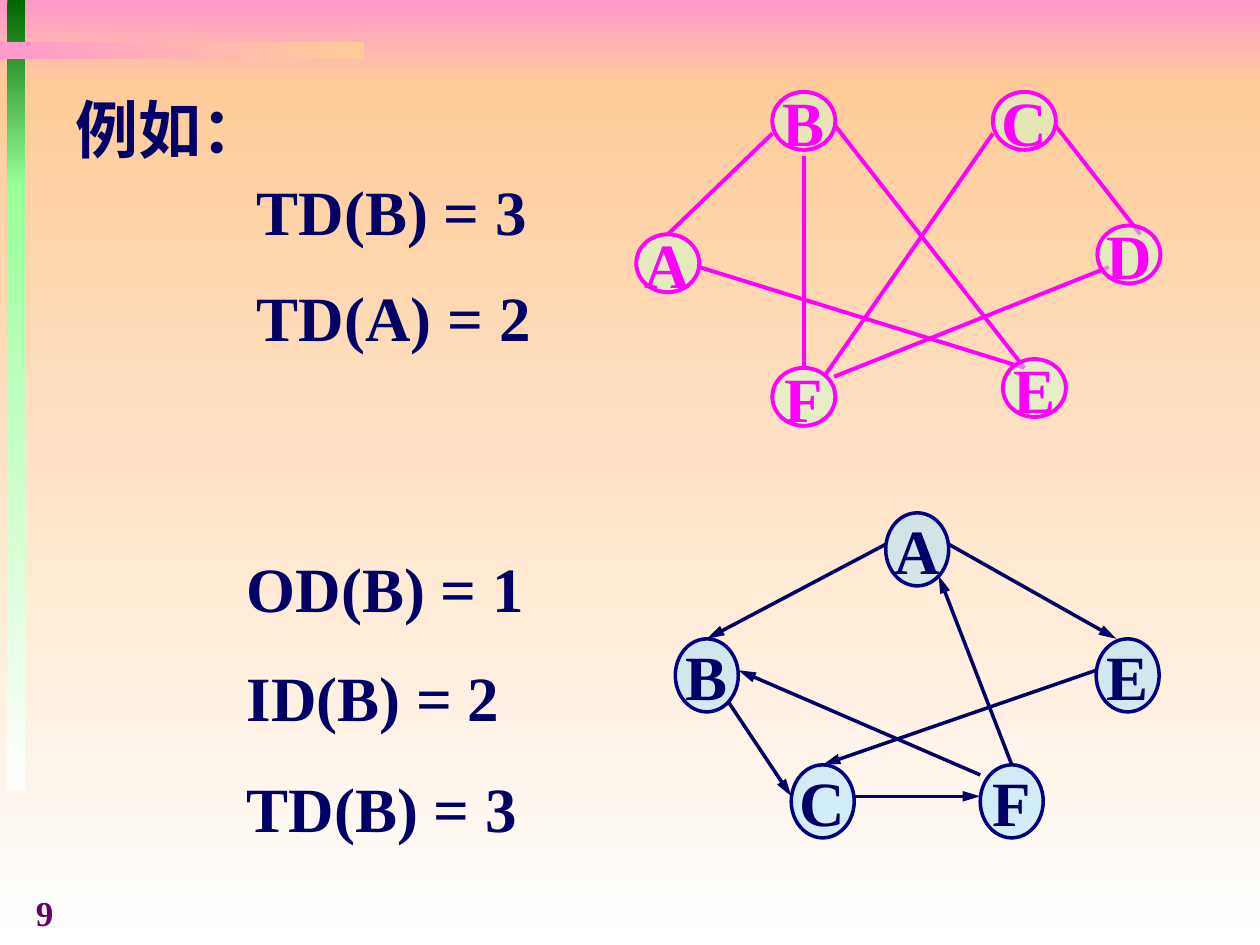
from dataclasses import dataclass

from lxml import etree
from pptx import Presentation
from pptx.dml.color import RGBColor
from pptx.enum import shapes, text
from pptx.oxml import ns
from pptx.util import Inches, Pt


@dataclass(frozen=True)
class Theme:
    ink: str = "000066"
    number: str = "660066"
    magenta: str = "FF00FF"
    navy: str = "000080"
    mint: str = "CCFFCC"
    sky: str = "A7E2FF"
    pink: str = "FF99CC"
    peach: str = "FFCC99"
    white: str = "FFFFFF"
    forest: str = "006600"
    lime: str = "99FF99"
    latin: str = "Times New Roman"
    chinese: str = "Noto Sans CJK SC"
    body_size: float = 36
    number_size: float = 20


@dataclass(frozen=True)
class Band:
    left: float
    top: float
    width: float
    height: float
    first: str
    last: str
    angle: float = 270


@dataclass(frozen=True)
class Node:
    label: str
    left: float
    top: float


@dataclass(frozen=True)
class Edge:
    start: tuple[float, float] | str
    end: tuple[float, float] | str


@dataclass(frozen=True)
class GraphStyle:
    node_height: float
    fill: str
    outline: str
    ink: str
    weight: float
    directed: bool


THEME = Theme()
NODE_WIDTH = 0.5

BANDS = [
    Band(0, 0, 10, 0.67, THEME.pink, THEME.peach),
    Band(0, 0.67, 10, 6.83, THEME.peach, THEME.white),
    Band(0.06, 0, 0.14, 1.48, THEME.forest, THEME.lime),
    Band(0.06, 1.46, 0.14, 4.81, THEME.lime, THEME.white),
    Band(0, 0.33, 2.89, 0.14, THEME.peach, THEME.pink, 180),
]

DIRECTED = GraphStyle(0.58, THEME.sky, THEME.navy, THEME.ink, 2, True)
DIRECTED_NODES = [
    Node("A", 7.03, 4.07), Node("B", 5.36, 5.07), Node("E", 8.7, 5.07),
    Node("C", 6.28, 6.07), Node("F", 7.78, 6.07),
]
DIRECTED_EDGES = [
    Edge((7.03, 4.32), "B"), Edge((5.78, 5.57), (6.28, 6.32)),
    Edge((6.78, 6.32), (7.78, 6.32)), Edge("F", (7.45, 4.57)),
    Edge((7.53, 4.32), (8.86, 5.07)), Edge((7.78, 6.15), (5.86, 5.32)),
    Edge((8.7, 5.32), "C"),
]

UNDIRECTED = GraphStyle(0.46, THEME.mint, THEME.magenta, THEME.magenta, 2.25, False)
UNDIRECTED_NODES = [
    Node("A", 5.05, 1.86), Node("C", 7.88, 0.73), Node("D", 8.71, 1.79),
    Node("F", 6.13, 2.92), Node("E", 7.96, 2.85), Node("B", 6.13, 0.73),
]
UNDIRECTED_EDGES = [
    Edge((6.13, 1.06), "A"), Edge((6.63, 1), (8.13, 2.92)),
    Edge((5.55, 2.12), (8.13, 2.92)), Edge((7.88, 1.06), (6.54, 2.99)),
    Edge((8.38, 1), (9.05, 1.86)), Edge((8.8, 2.12), (6.62, 2.99)),
    Edge((6.38, 1.24), "F"),
]

FORMULAS = [
    ("TD(B) = 3", 1.94, 1.32), ("TD(A) = 2", 1.94, 2.16),
    ("OD(B) = 1", 1.86, 4.31), ("ID(B) = 2", 1.86, 5.18),
    ("TD(B) = 3", 1.86, 6.06),
]


def write(box, words: str, *, color: str = THEME.ink, size: float = THEME.body_size,
          font: str = THEME.latin, align=text.PP_ALIGN.LEFT,
          anchor=text.MSO_ANCHOR.TOP, wrap: bool = True) -> None:
    frame = box.text_frame
    frame.word_wrap = wrap
    frame.auto_size = text.MSO_AUTO_SIZE.NONE
    frame.vertical_anchor = anchor
    para = frame.paragraphs[0]
    para.alignment = align
    span = para.add_run()
    span.text = words
    span.font.name = font
    span.font.size = Pt(size)
    span.font.bold = True
    span.font.color.rgb = RGBColor.from_string(color)
    if font == THEME.chinese:
        properties = span.font._element
        etree.SubElement(properties, ns.qn("a:ea")).set("typeface", font)


def add_text(page, words: str, left: float, top: float, width: float,
             height: float, **style) -> None:
    box = page.shapes.add_textbox(Inches(left), Inches(top), Inches(width), Inches(height))
    write(box, words, **style)


def add_band(page, band: Band) -> None:
    box = page.shapes.add_shape(
        shapes.MSO_SHAPE.RECTANGLE, Inches(band.left), Inches(band.top),
        Inches(band.width), Inches(band.height))
    box.shadow.inherit = False
    box.line.fill.background()
    box.fill.gradient()
    box.fill.gradient_angle = band.angle
    for position, color in enumerate((band.first, band.last)):
        stop = box.fill.gradient_stops[position]
        stop.position = position
        stop.color.rgb = RGBColor.from_string(color)


def add_node(group, node: Node, style: GraphStyle):
    circle = group.shapes.add_shape(
        shapes.MSO_SHAPE.OVAL, Inches(node.left), Inches(node.top),
        Inches(NODE_WIDTH), Inches(style.node_height))
    circle.shadow.inherit = False
    circle.fill.solid()
    circle.fill.fore_color.rgb = RGBColor.from_string(style.fill)
    tint = circle.element.spPr.find(ns.qn("a:solidFill"))[0]
    etree.SubElement(tint, ns.qn("a:alpha")).set("val", "50000")
    circle.line.color.rgb = RGBColor.from_string(style.outline)
    circle.line.width = Pt(style.weight)
    write(circle, node.label, color=style.ink, align=text.PP_ALIGN.CENTER,
          anchor=text.MSO_ANCHOR.MIDDLE, wrap=False)
    return circle


def add_edge(group, edge: Edge, tops: dict[str, tuple[float, float]], style: GraphStyle):
    ends = [tops[end] if isinstance(end, str) else end for end in (edge.start, edge.end)]
    line = group.shapes.add_connector(
        shapes.MSO_CONNECTOR.STRAIGHT, *(Inches(value) for end in ends for value in end))
    line.line.color.rgb = RGBColor.from_string(style.ink)
    line.line.width = Pt(style.weight)
    if style.directed:
        head = etree.SubElement(line.line._get_or_add_ln(), ns.qn("a:tailEnd"))
        head.set("type", "triangle")
        head.set("w", "med")
        head.set("len", "lg")
    etree.SubElement(line.element.spPr, ns.qn("a:effectLst"))
    return line


def add_graph(page, nodes: list[Node], edges: list[Edge], style: GraphStyle) -> None:
    group = page.shapes.add_group_shape()
    tops = {node.label: (node.left + NODE_WIDTH / 2, node.top) for node in nodes}
    lines = [add_edge(group, edge, tops, style) for edge in edges]
    circles = {node.label: add_node(group, node, style) for node in nodes}
    for edge, line in zip(edges, lines):
        if isinstance(edge.start, str):
            line.begin_connect(circles[edge.start], 0)
        if isinstance(edge.end, str):
            line.end_connect(circles[edge.end], 0)


def main() -> None:
    deck = Presentation()
    deck.slide_width, deck.slide_height = Inches(10), Inches(7.5)
    page = deck.slides.add_slide(deck.slide_layouts[5])
    for band in BANDS:
        add_band(page, band)
    add_text(page, "9", 0, 7.03, 0.71, 0.44, color=THEME.number,
             size=THEME.number_size, align=text.PP_ALIGN.CENTER)
    add_graph(page, DIRECTED_NODES, DIRECTED_EDGES, DIRECTED)
    for words, left, top in FORMULAS:
        add_text(page, words, left, top, 2.5, 0.7)
    title = page.shapes.title
    title.left, title.top = Inches(0.5), Inches(0.67)
    title.width, title.height = Inches(1.46), Inches(0.7)
    write(title, "例如：", font=THEME.chinese)
    page.shapes.element.append(title.element)
    add_graph(page, UNDIRECTED_NODES, UNDIRECTED_EDGES, UNDIRECTED)
    deck.save("out.pptx")


if __name__ == "__main__":
    main()
